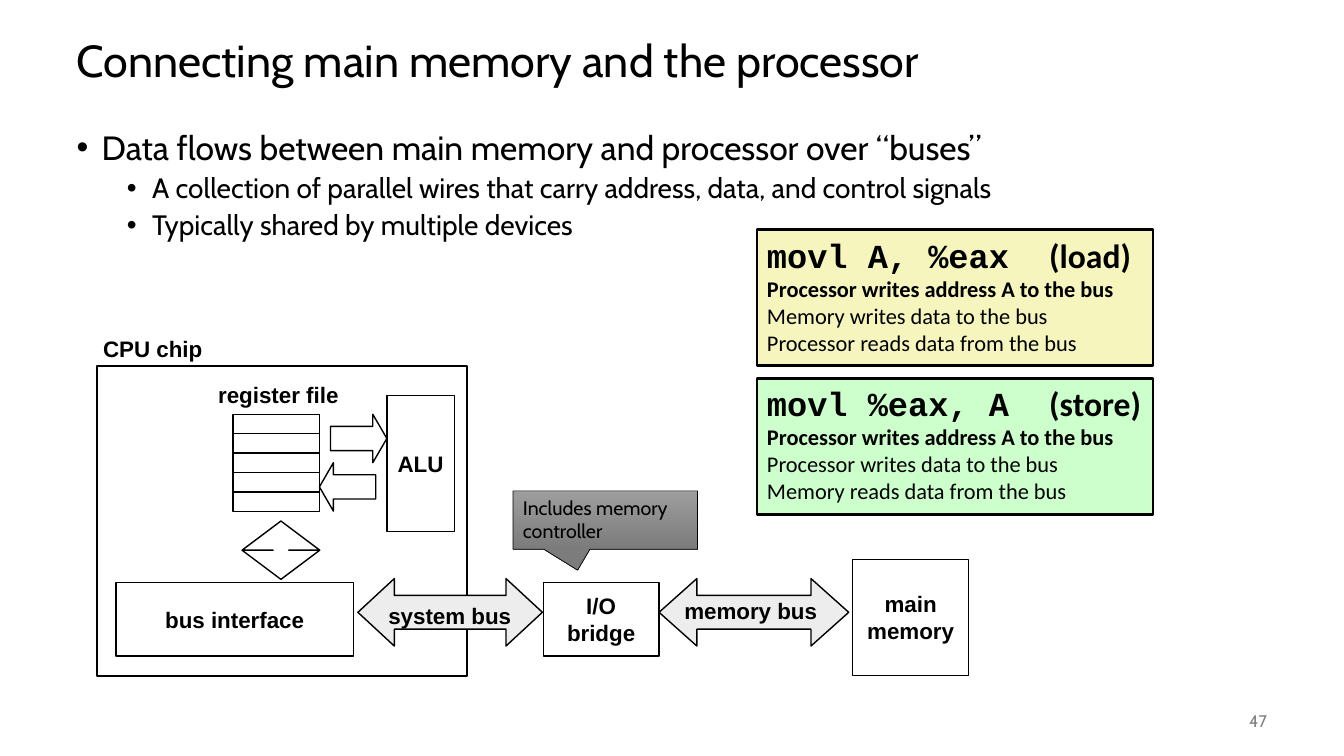
from lxml.etree import SubElement
from pptx import Presentation
from pptx.dml.color import RGBColor
from pptx.enum.shapes import MSO_SHAPE as Kind
from pptx.enum.text import MSO_ANCHOR as Anchor, MSO_AUTO_SIZE as Fit, PP_ALIGN as Align
from pptx.oxml.ns import qn
from pptx.util import Cm, Pt

HUES = {
    "ink": "000000",
    "page": "808080",
    "bus": "EDEDED",
    "load": "F6F5BD",
    "store": "CCFFCC",
    "top": "9D9D9D",
    "base": "7C7C7C",
}


def style(par, size, face, bold=False, align=Align.LEFT, hue="ink"):
    par.alignment = align
    par.font.size = Pt(size)
    par.font.name = face
    par.font.bold = bold
    par.font.color.rgb = RGBColor.from_string(HUES[hue])


def draw(kind, spot, fill=None, width=1, text="", adj=()):
    shape = slide.shapes.add_shape(kind, *map(Cm, spot))
    shape.shadow.inherit = False
    for i, value in enumerate(adj):
        shape.adjustments[i] = value
    if fill:
        shape.fill.solid()
        shape.fill.fore_color.rgb = RGBColor.from_string(HUES[fill])
    else:
        shape.fill.background()
    shape.line.color.rgb = RGBColor.from_string(HUES["ink"])
    shape.line.width = Pt(width)
    if text:
        frame = shape.text_frame
        frame.text = text
        frame.word_wrap = False
        frame.vertical_anchor = Anchor.MIDDLE
        for par in frame.paragraphs:
            style(par, 16, "Arial", True, Align.CENTER)
    return shape


deck = Presentation()
deck.slide_width = Cm(33.87)
deck.slide_height = Cm(19.05)
slide = deck.slides.add_slide(deck.slide_layouts[5])

title = slide.shapes.title
title.left, title.top, title.width, title.height = map(Cm, (1.68, 0.64, 30.48, 1.9))
frame = title.text_frame
frame.text = "Connecting main memory and the processor"
frame.auto_size = Fit.NONE
frame.vertical_anchor = Anchor.MIDDLE
frame.paragraphs[0].line_spacing = 0.9
style(frame.paragraphs[0], 32, "Cabin")

points = [
    (0, "Data flows between main memory and processor over “buses”"),
    (1, "A collection of parallel wires that carry address, data, and control signals"),
    (1, "Typically shared by multiple devices"),
]
body = slide.shapes.add_textbox(*map(Cm, (1.68, 3.18, 30.48, 13.97))).text_frame
body.word_wrap = True
for i, (level, text) in enumerate(points):
    par = body.add_paragraph() if i else body.paragraphs[0]
    par.text = text
    par.level = level
    par.line_spacing = 0.9
    par.space_before = Pt(5 * level)
    props = par._p.get_or_add_pPr()
    props.set("marL", str(Cm(0.635 + 1.27 * level)))
    props.set("indent", str(-Cm(0.635)))
    SubElement(props, qn("a:buFont")).set("typeface", "Arial")
    SubElement(props, qn("a:buChar")).set("char", "•")
    style(par, 24 - 4 * level, "Cabin")

draw(Kind.RECTANGLE, (21.49, 14.1, 2.92, 2.92), text="main\nmemory")
draw(Kind.LEFT_RIGHT_ARROW, (16.61, 14.58, 4.78, 1.7), "bus", adj=(0.5, 0.56))
draw(Kind.RECTANGLE, (13.69, 14.68, 2.92, 1.85), text="I/O\nbridge")
draw(Kind.RECTANGLE, (2.92, 14.68, 5.99, 1.85), text="bus interface")
for row in range(5):
    draw(Kind.RECTANGLE, (5.87, 10.44 + 0.49 * row, 2.18, 0.49))
draw(Kind.RIGHT_ARROW, (8.33, 10.44, 1.42, 1.22), adj=(0.5, 0.29))
draw(Kind.LEFT_ARROW, (8.05, 11.66, 1.42, 1.22), adj=(0.5, 0.29))
draw(Kind.RECTANGLE, (9.75, 9.96, 1.7, 3.43), text="ALU")
draw(Kind.UP_DOWN_ARROW, (6.1, 13.13, 1.96, 1.47), adj=(0.5, 0.2))
draw(Kind.RECTANGLE, (2.44, 9.22, 9.32, 7.82), width=1.5)
draw(Kind.LEFT_RIGHT_ARROW, (9.02, 14.58, 4.65, 1.7), "bus", adj=(0.5, 0.54))

labels = [
    ("register file", 5.21, 9.47, 3.61),
    ("CPU chip", 2.34, 8.31, 3.02),
    ("memory bus", 16.99, 14.91, 3.86),
    ("system bus", 9.53, 15.04, 3.61),
]
for text, left, top, width in labels:
    frame = slide.shapes.add_textbox(Cm(left), Cm(top), Cm(width), Cm(0.94)).text_frame
    frame.text = text
    frame.word_wrap = False
    frame.vertical_anchor = Anchor.MIDDLE
    style(frame.paragraphs[0], 16, "Arial", True, Align.CENTER)

note = draw(Kind.RECTANGULAR_CALLOUT, (12.93, 12.37, 4.65, 1.47), width=0.5, adj=(-0.15, 0.86))
note.fill.gradient()
note.fill.gradient_angle = 270
for stop, hue, place in zip(note.fill.gradient_stops, ("top", "base"), (0, 1)):
    stop.color.rgb = RGBColor.from_string(HUES[hue])
    stop.position = place
frame = note.text_frame
frame.text = "Includes memory \vcontroller"
frame.word_wrap = True
frame.vertical_anchor = Anchor.TOP
style(frame.paragraphs[0], 14, "Cabin")

cards = [
    ("load", 5.79, "movl A, %eax  ", "Memory writes data to the bus", "Processor reads data from the bus"),
    ("store", 9.53, "movl %eax, A  ", "Processor writes data to the bus", "Memory reads data from the bus"),
]
for name, top, code, *steps in cards:
    card = draw(Kind.RECTANGLE, (19.08, top, 9.98, 3.43), name, 2)
    frame = card.text_frame
    frame.word_wrap = True
    frame.vertical_anchor = Anchor.TOP
    head = frame.paragraphs[0]
    style(head, 24, "Calibri", True)
    run = head.add_run()
    run.text = code
    run.font.name = "Courier New"
    head.add_run().text = f"({name})"
    for i, text in enumerate(["Processor writes address A to the bus", *steps]):
        par = frame.add_paragraph()
        par.text = text
        style(par, 16, "Calibri", i == 0)

frame = slide.shapes.add_textbox(*map(Cm, (29.64, 17.65, 2.54, 1.02))).text_frame
frame.text = "47"
frame.word_wrap = True
frame.vertical_anchor = Anchor.MIDDLE
style(frame.paragraphs[0], 12, "Cabin", align=Align.RIGHT, hue="page")

deck.save("out.pptx")
